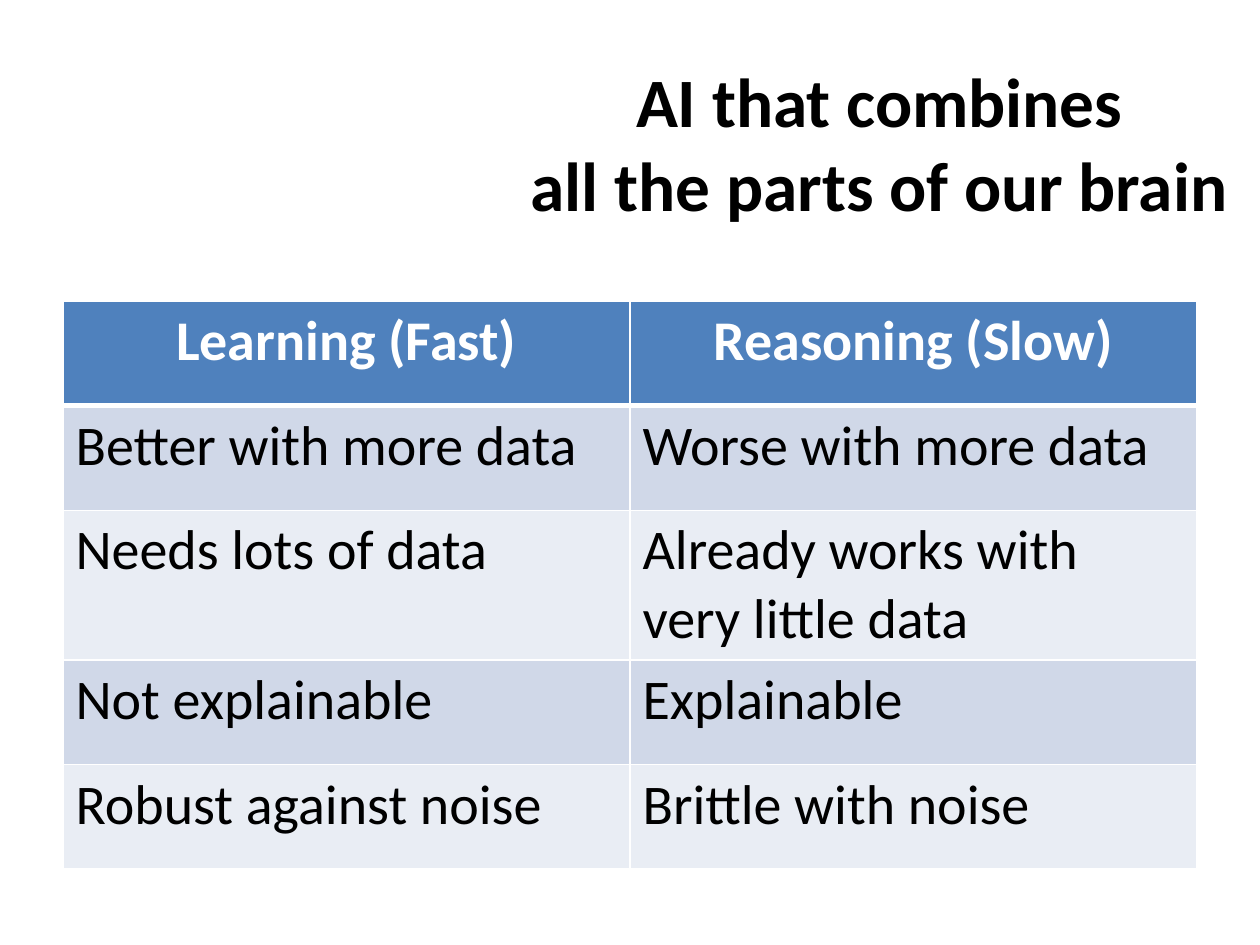
"""Build the slide comparing fast learning with slow reasoning."""
from dataclasses import dataclass

from lxml import etree
from pptx import Presentation
from pptx import util as u
from pptx.dml.color import RGBColor
from pptx.enum import text
from pptx.oxml import ns


@dataclass(frozen=True)
class Theme:
    font: str = "Calibri"
    title_size: float = 39.6
    table_size: float = 32
    ink: str = "000000"
    paper: str = "FFFFFF"
    header: str = "4F81BD"
    bands: tuple[str, str] = ("D0D8E8", "E9EDF4")
    rule: float = 1
    header_rule: float = 3


@dataclass(frozen=True)
class Contrast:
    learning: str
    reasoning: str


THEME = Theme()
HEADING = "AI that combines\vall the parts of our brain"
CONTRASTS = (
    Contrast("Learning (Fast)", "Reasoning (Slow)"),
    Contrast("Better with more data", "Worse with more data"),
    Contrast("Needs lots of data", "Already works with\vvery little data"),
    Contrast("Not explainable", "Explainable"),
    Contrast("Robust against noise", "Brittle with noise"),
)


def write(frame, wording: str, size: float, color: str, bold: bool, align) -> None:
    frame.text = wording
    paragraph = frame.paragraphs[0]
    paragraph.alignment = align
    for run in paragraph.runs:
        formats = {"name": THEME.font, "size": u.Pt(size), "bold": bold}
        for attribute, value in formats.items():
            setattr(run.font, attribute, value)
        run.font.color.rgb = RGBColor.from_string(color)


def rule_cell(cell, widths: dict[str, float]) -> None:
    properties = cell._tc.get_or_add_tcPr()
    for side, width in widths.items():
        line = etree.SubElement(properties, ns.qn(f"a:ln{side}"), w=str(u.Pt(width)))
        fill = etree.SubElement(line, ns.qn("a:solidFill"))
        etree.SubElement(fill, ns.qn("a:srgbClr"), val=THEME.paper)


def fill_cell(cell, wording: str, row: int) -> None:
    is_header = row == 0
    widths = dict.fromkeys("LRTB", THEME.rule)
    if is_header:
        widths["B"] = THEME.header_rule
    elif row == 1:
        widths["T"] = THEME.header_rule
    rule_cell(cell, widths)
    cell.fill.solid()
    background = THEME.header if is_header else THEME.bands[(row - 1) % 2]
    cell.fill.fore_color.rgb = RGBColor.from_string(background)
    write(cell.text_frame, wording, THEME.table_size,
          THEME.paper if is_header else THEME.ink, is_header,
          text.PP_ALIGN.CENTER if is_header else text.PP_ALIGN.LEFT)


def add_heading(slide) -> None:
    heading = slide.shapes.title
    place = {"left": 3.21, "top": 0.4, "width": 7.54, "height": 1.45}
    for attribute, value in place.items():
        setattr(heading, attribute, u.Inches(value))
    frame = heading.text_frame
    formats = {"word_wrap": True, "auto_size": text.MSO_AUTO_SIZE.NONE,
               "vertical_anchor": text.MSO_ANCHOR.MIDDLE}
    for attribute, value in formats.items():
        setattr(frame, attribute, value)
    write(frame, HEADING, THEME.title_size, THEME.ink, True, text.PP_ALIGN.CENTER)


def add_contrasts(slide) -> None:
    row_height = 0.83
    table = slide.shapes.add_table(
        len(CONTRASTS), 2, u.Inches(0.5), u.Inches(2.39),
        u.Inches(9), u.Inches(row_height * len(CONTRASTS))).table
    for row, contrast in enumerate(CONTRASTS):
        table.rows[row].height = u.Inches(row_height)
        for column, wording in enumerate((contrast.learning, contrast.reasoning)):
            fill_cell(table.cell(row, column), wording, row)


def main() -> None:
    deck = Presentation()
    deck.slide_width, deck.slide_height = u.Inches(10), u.Inches(7.5)
    slide = deck.slides.add_slide(deck.slide_layouts[5])
    add_contrasts(slide)
    add_heading(slide)
    deck.save("out.pptx")


main()
